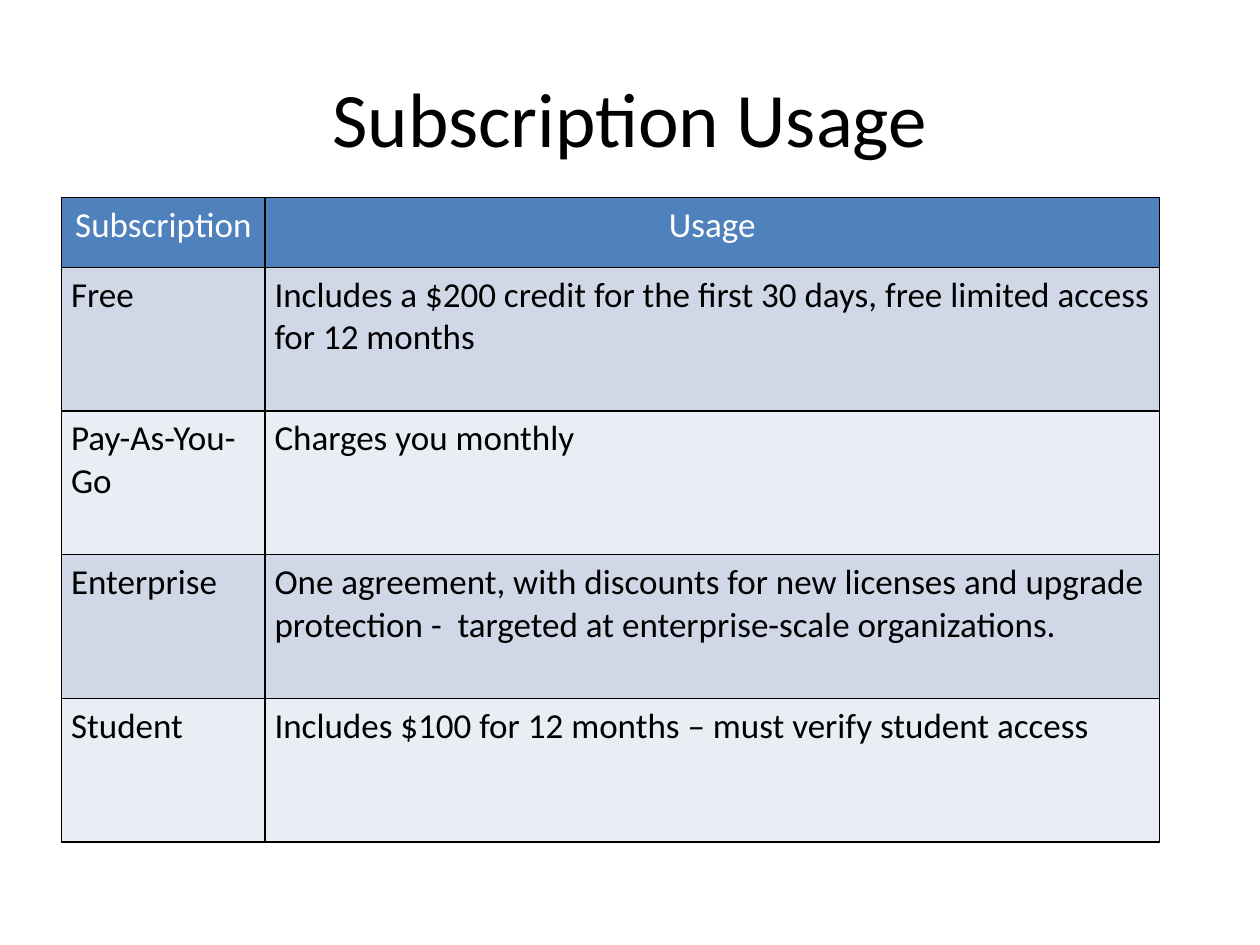
from lxml import etree
from pptx import Presentation
from pptx.dml.color import RGBColor
from pptx.enum import text
from pptx.oxml import ns
from pptx.util import Pt

BLACK = RGBColor(0x00, 0x00, 0x00)
WHITE = RGBColor(0xFF, 0xFF, 0xFF)
HEADER_BLUE = RGBColor(0x4F, 0x81, 0xBD)
BANDS = (RGBColor(0xD0, 0xD8, 0xE8), RGBColor(0xE9, 0xED, 0xF4))

FONT = "Calibri"
HEADER_HEIGHT = 40
SUBSCRIPTION_WIDTH = 116.3
ROWS = [
    ("Subscription", "Usage"),
    ("Free", "Includes a $200 credit for the first 30 days, free limited access for 12 months"),
    ("Pay-As-You-Go", "Charges you monthly"),
    ("Enterprise", "One agreement, with discounts for new licenses and upgrade protection -  "
                   "targeted at enterprise-scale organizations."),
    ("Student", "Includes $100 for 12 months – must verify student access"),
]


def style_paragraph(paragraph, size, color, alignment):
    paragraph.alignment = alignment
    paragraph.font.name = FONT
    paragraph.font.size = Pt(size)
    paragraph.font.color.rgb = color


def add_title(slide, left, top, width, height):
    shape = slide.shapes.add_textbox(Pt(left), Pt(top), Pt(width), Pt(height))
    frame = shape.text_frame
    frame.word_wrap = True
    frame.vertical_anchor = text.MSO_ANCHOR.MIDDLE
    frame.text = "Subscription Usage"
    style_paragraph(frame.paragraphs[0], 44, BLACK, text.PP_ALIGN.CENTER)


def add_borders(cell):
    properties = cell._tc.get_or_add_tcPr()
    for index, side in enumerate(("lnL", "lnR", "lnT", "lnB")):
        line = etree.Element(ns.qn(f"a:{side}"), w=str(Pt(1)))
        fill = etree.SubElement(line, ns.qn("a:solidFill"))
        etree.SubElement(fill, ns.qn("a:srgbClr"), val=str(BLACK))
        properties.insert(index, line)


def fill_cell(cell, content, fill, color, alignment):
    cell.text = content
    cell.margin_left = cell.margin_right = Pt(5.4)
    cell.margin_top = cell.margin_bottom = Pt(3.6)
    cell.fill.solid()
    cell.fill.fore_color.rgb = fill
    style_paragraph(cell.text_frame.paragraphs[0], 20, color, alignment)
    add_borders(cell)


def add_usage_table(slide, left, top, width, height):
    table = slide.shapes.add_table(
        len(ROWS), 2, Pt(left), Pt(top), Pt(width), Pt(height)).table
    table.columns[0].width = Pt(SUBSCRIPTION_WIDTH)
    table.columns[1].width = Pt(width - SUBSCRIPTION_WIDTH)
    body_height = (height - HEADER_HEIGHT) / (len(ROWS) - 1)
    for row_index, contents in enumerate(ROWS):
        if row_index == 0:
            row_height = HEADER_HEIGHT
            look = HEADER_BLUE, WHITE, text.PP_ALIGN.CENTER
        else:
            row_height = body_height
            look = BANDS[(row_index - 1) % 2], BLACK, text.PP_ALIGN.LEFT
        table.rows[row_index].height = Pt(row_height)
        for column_index, content in enumerate(contents):
            fill_cell(table.cell(row_index, column_index), content, *look)


def main():
    presentation = Presentation()
    presentation.slide_width = Pt(720)
    presentation.slide_height = Pt(540)
    slide = presentation.slides.add_slide(presentation.slide_layouts[6])
    add_title(slide, 36, 21.6, 648, 90)
    add_usage_table(slide, 35.2, 112.8, 627.4, 368.4)
    presentation.save("out.pptx")


if __name__ == "__main__":
    main()
